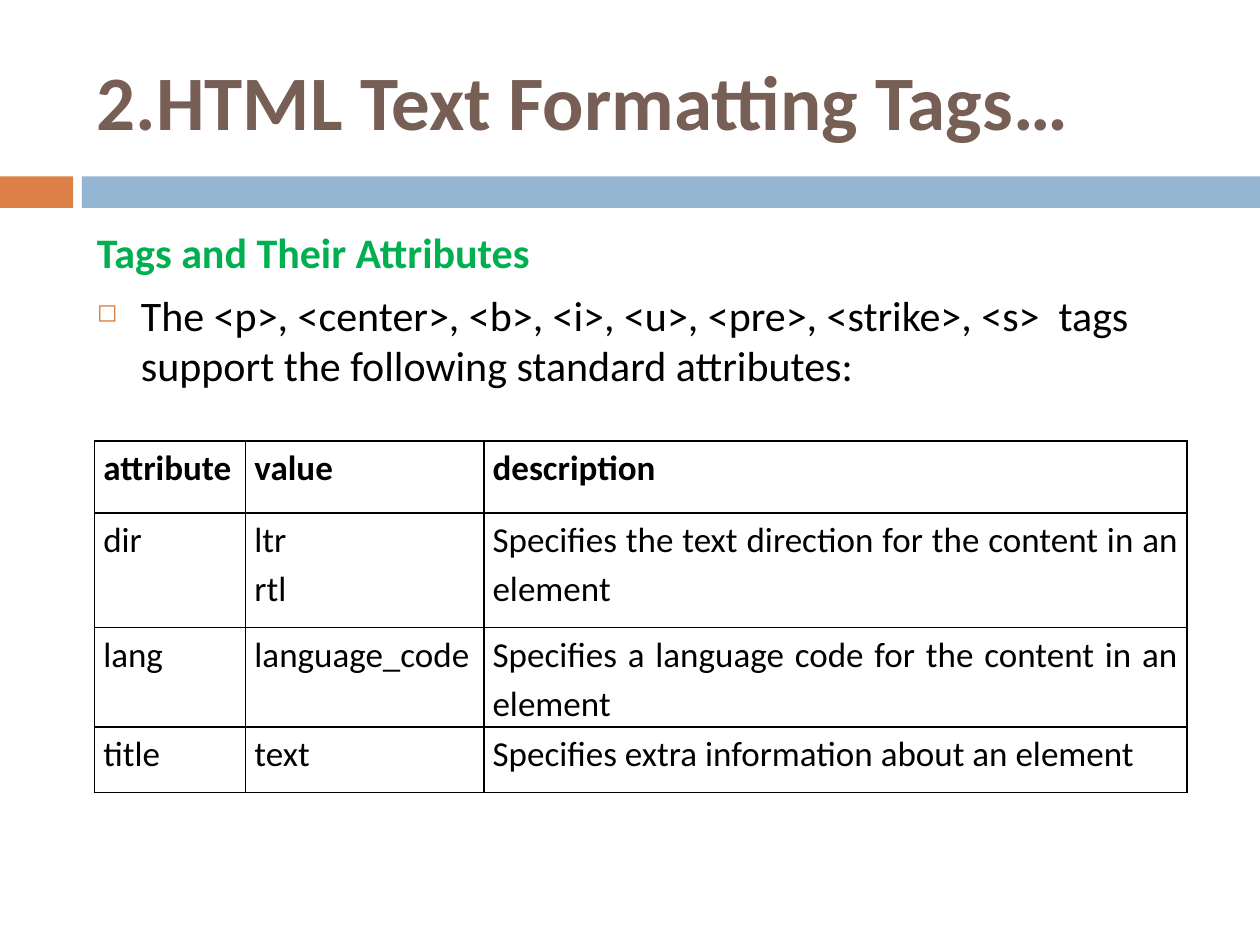
from dataclasses import dataclass

from lxml import etree
from pptx import Presentation
from pptx.dml.color import RGBColor
from pptx.enum import shapes, text
from pptx.oxml import ns
from pptx.util import Inches, Pt


@dataclass(frozen=True)
class Theme:
    """Colours, type sizes and font of the slide."""
    font: str = "Calibri"
    brown: str = "775F55"
    orange: str = "DD8047"
    blue: str = "94B6D2"
    green: str = "00B050"
    black: str = "000000"
    title: int = 44
    body: int = 24
    cell: int = 20


THEME = Theme()
TITLE = "2.HTML Text Formatting Tags…"
LEAD = "Tags and Their Attributes"
POINT = ("The <p>, <center>, <b>, <i>, <u>, <pre>, <strike>, <s>  tags "
         "support the following standard attributes:")
COLS = (1.2, 1.89, 5.58)
HEIGHTS = (0.57, 0.91, 0.79, 0.52)
ROWS = (
    ("attribute", "value", "description"),
    ("dir", "ltr\nrtl", "Specifies the text direction for the content in an element"),
    ("lang", "language_code", "Specifies a language code for the content in an element"),
    ("title", "text", "Specifies extra information about an element"),
)


def add_xml(parent, tag, **attrs):
    """Append a drawing element to its parent and return it."""
    return etree.SubElement(parent, ns.qn(tag), attrs)


def write(para, words, size, color=THEME.black, bold=False, align=None, lines=None, before=None):
    """Put formatted words in a paragraph."""
    run = para.add_run()
    run.text = words
    run.font.name = THEME.font
    run.font.size = Pt(size)
    run.font.bold = bold
    run.font.color.rgb = RGBColor.from_string(color)
    para.alignment = align
    para.line_spacing = lines
    if before is not None:
        para.space_before = Pt(before)


def add_frame(slide, box, anchor):
    """Add a wrapping text box and return its text frame."""
    frame = slide.shapes.add_textbox(*map(Inches, box)).text_frame
    frame.word_wrap = True
    frame.vertical_anchor = anchor
    return frame


def add_title(slide, box):
    """Place the slide title in the box."""
    frame = add_frame(slide, box, text.MSO_ANCHOR.MIDDLE)
    write(frame.paragraphs[0], TITLE, THEME.title, THEME.brown, bold=True)


def add_band(slide, box, split=0.58, gap=0.07):
    """Fill the box with a short orange bar, a gap and a long blue bar."""
    left, top, width, height = box
    start = split + gap
    bars = ((left, split, THEME.orange), (left + start, width - start, THEME.blue))
    for x, span, color in bars:
        bar = slide.shapes.add_shape(
            shapes.MSO_SHAPE.RECTANGLE, *map(Inches, (x, top, span, height)))
        bar.shadow.inherit = False
        bar.fill.solid()
        bar.fill.fore_color.rgb = RGBColor.from_string(color)
        bar.line.fill.background()


def add_bullet(para):
    """Give a paragraph a hanging square bullet."""
    props = para._p.get_or_add_pPr()
    props.set("marL", str(Inches(0.35)))
    props.set("indent", str(Inches(-0.35)))
    add_xml(add_xml(props, "a:buClr"), "a:srgbClr", val=THEME.orange)
    add_xml(props, "a:buSzPct", val="60000")
    add_xml(props, "a:buChar", char="◻")


def add_body(slide, box):
    """Place the green lead line and the bullet point in the box."""
    frame = add_frame(slide, box, text.MSO_ANCHOR.TOP)
    write(frame.paragraphs[0], LEAD, THEME.body, THEME.green, bold=True, before=7)
    point = frame.add_paragraph()
    write(point, POINT, THEME.body, before=7)
    add_bullet(point)


def add_edges(cell):
    """Draw a thin black line on each side of a cell."""
    props = cell._tc.get_or_add_tcPr()
    for spot, side in enumerate(("a:lnL", "a:lnR", "a:lnT", "a:lnB")):
        line = add_xml(props, side, w=str(Pt(1)))
        add_xml(add_xml(line, "a:solidFill"), "a:srgbClr", val=THEME.black)
        props.insert(spot, line)


def fill_cell(cell, words, bold):
    """Write one table cell, a paragraph for each line of words."""
    cell.fill.background()
    cell.margin_left = cell.margin_right = Inches(0.07)
    cell.margin_top = cell.margin_bottom = 0
    frame = cell.text_frame
    for num, line in enumerate(words.split("\n")):
        para = frame.add_paragraph() if num else frame.paragraphs[0]
        write(para, line, THEME.cell, bold=bold, align=text.PP_ALIGN.JUSTIFY, lines=1.15)
    add_edges(cell)


def add_grid(slide, box):
    """Place the table of attributes in the box."""
    table = slide.shapes.add_table(len(ROWS), len(COLS), *map(Inches, box)).table
    table.first_row = table.horz_banding = False
    for col, width in zip(table.columns, COLS):
        col.width = Inches(width)
    for num, (row, height) in enumerate(zip(table.rows, HEIGHTS)):
        row.height = Inches(height)
        for cell, words in zip(row.cells, ROWS[num]):
            fill_cell(cell, words, bold=num == 0)


def main():
    """Build the slide and save it."""
    deck = Presentation()
    deck.slide_width, deck.slide_height = Inches(10), Inches(7.5)
    slide = deck.slides.add_slide(deck.slide_layouts[6])
    add_band(slide, (0, 1.4, 10, 0.25))
    add_title(slide, (0.67, 0.25, 8.92, 1.08))
    add_body(slide, (0.67, 1.75, 8.92, 5.75))
    add_grid(slide, (0.75, 3.5, sum(COLS), sum(HEIGHTS)))
    deck.save("out.pptx")


if __name__ == "__main__":
    main()
